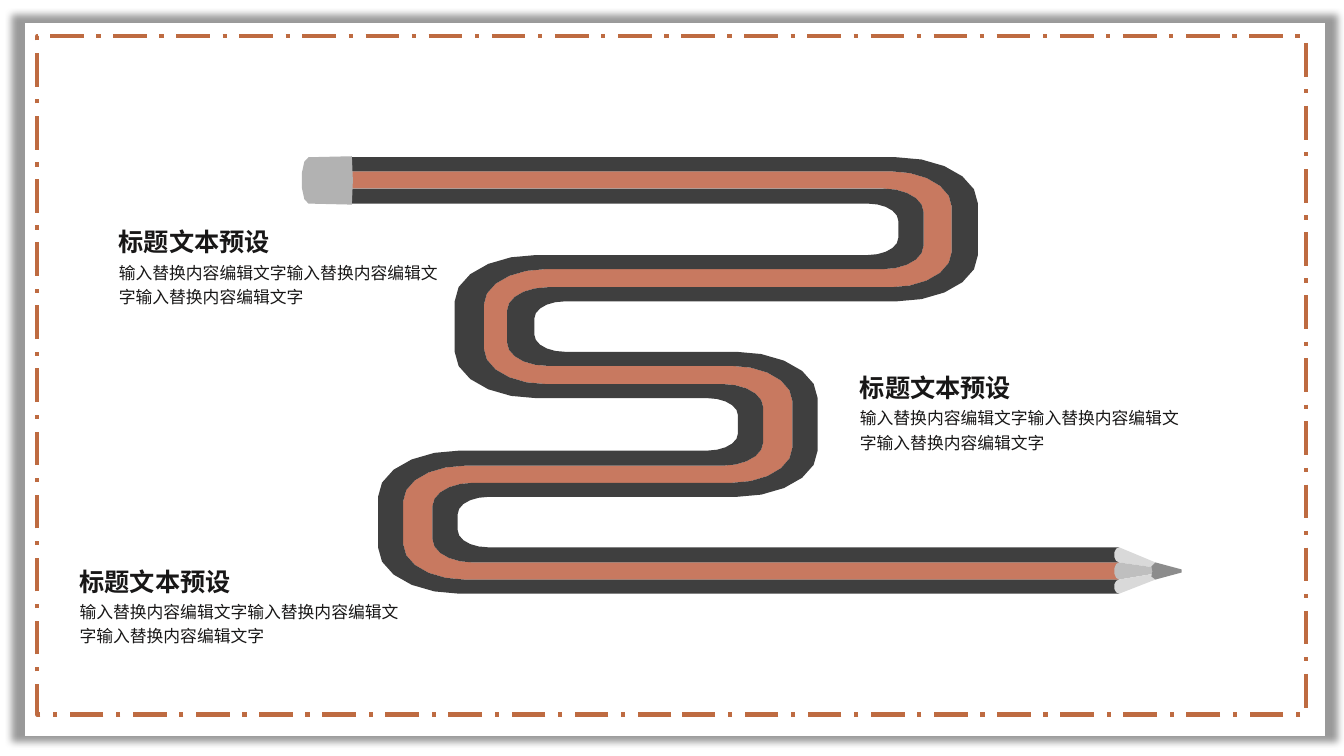
"""Build a slide with a winding pencil and three captions inside a dashed frame."""
from math import cos, pi, sin

from lxml import etree
from pptx import Presentation
from pptx.dml.color import RGBColor
from pptx.enum.dml import MSO_LINE
from pptx.enum.shapes import MSO_SHAPE
from pptx.oxml.ns import qn
from pptx.util import Inches, Pt

RECTANGLE = MSO_SHAPE.RECTANGLE
DASH_DOT = MSO_LINE.LONG_DASH_DOT
WHITE = RGBColor(0xFF, 0xFF, 0xFF)
FRAME = RGBColor(0xBE, 0x6B, 0x41)
ORANGE = RGBColor(0xC8, 0x79, 0x60)
DARK = RGBColor(0x3F, 0x3F, 0x3F)
ERASER = RGBColor(0xB2, 0xB2, 0xB2)
WOOD_LIGHT = RGBColor(0xD9, 0xD9, 0xD9)
WOOD_MIDDLE = RGBColor(0xBF, 0xBF, 0xBF)
LEAD = RGBColor(0x8C, 0x8C, 0x8C)
INK = RGBColor(0x18, 0x17, 0x17)
FONT = "Noto Sans CJK SC"
HEADING = "标题文本预设"
BODY = "输入替换内容编辑文字输入替换内容编辑文字输入替换内容编辑文字"
PENCIL_LEFT, PENCIL_RIGHT = 3.13, 11.1


def arc(center_x, center_y, radius_x, radius_y, start, end, steps=5):
    """Return points along an elliptical arc between two angles."""
    angles = [start + (end - start) * step / steps for step in range(steps + 1)]
    return [(center_x + radius_x * cos(a), center_y + radius_y * sin(a)) for a in angles]


def add_text(left, top, width, height, text, size, bold, wrap, spacing):
    """Add a one-paragraph text box."""
    box = slide.shapes.add_textbox(Inches(left), Inches(top), Inches(width), Inches(height))
    box.text_frame.word_wrap = wrap
    paragraph = box.text_frame.paragraphs[0]
    paragraph.line_spacing = spacing
    run = paragraph.add_run()
    run.text = text
    run.font.size = Pt(size)
    run.font.bold = bold
    run.font.color.rgb = INK
    run.font.name = FONT
    etree.SubElement(run.font._element, qn("a:ea"), typeface=FONT)


presentation = Presentation()
presentation.slide_width = Inches(13.33)
presentation.slide_height = Inches(7.5)
slide = presentation.slides.add_slide(presentation.slide_layouts[6])

card = slide.shapes.add_shape(RECTANGLE, Inches(0.25), Inches(0.23), Inches(12.89), Inches(7.07))
card.fill.solid()
card.fill.fore_color.rgb = WHITE
card.line.fill.background()
card.shadow.inherit = False
effects = card._element.spPr.find(qn("a:effectLst"))
shadow = etree.SubElement(effects, qn("a:outerShdw"), blurRad=str(Pt(5)), sx="102000",
                          sy="102000", algn="ctr", rotWithShape="0")
shadow_color = etree.SubElement(shadow, qn("a:srgbClr"), val="000000")
etree.SubElement(shadow_color, qn("a:alpha"), val="40000")

frame = slide.shapes.add_shape(RECTANGLE, Inches(0.37), Inches(0.36), Inches(12.58), Inches(6.73))
frame.fill.background()
frame.line.color.rgb = FRAME
frame.line.width = Pt(3)
frame.line.dash_style = DASH_DOT
frame.shadow.inherit = False

edge_rules = [
    ((1.56, 2.99, 3.49, 4.93, 5.43), (9.7, 5.3, 8.11, 4.54), (0.81, 0.46), (0.3, 0.17)),
    ((1.7, 2.85, 3.63, 4.79, 5.58), (9.44, 5.03, 7.86, 4.29), (0.6, 0.35), (0.4, 0.23)),
    ((1.87, 2.67, 3.81, 4.62, 5.75), (9.16, 4.8, 7.57, 4), (0.4, 0.23), (0.61, 0.35)),
    ((2.02, 2.53, 3.95, 4.47, 5.89), (8.91, 4.51, 7.32, 3.75), (0.3, 0.17), (0.81, 0.46)),
]
edges = []
for levels, turns, right_radii, left_radii in edge_rules:
    edge = [(PENCIL_LEFT, levels[0])]
    for index, turn_x in enumerate(turns):
        side = 1 if index % 2 == 0 else -1
        radius_x, radius_y = right_radii if side == 1 else left_radii
        center_x = turn_x - side * radius_x
        edge += arc(center_x, levels[index] + radius_y, side * radius_x, radius_y, -pi / 2, 0)
        edge += arc(center_x, levels[index + 1] - radius_y, side * radius_x, radius_y, 0, pi / 2)
    edge.append((PENCIL_RIGHT, levels[-1]))
    edges.append(edge)

pencil_parts = [
    (edges[upper] + edges[upper + 1][::-1], color)
    for upper, color in ((1, ORANGE), (0, DARK), (2, DARK))
]
pencil_parts.append((arc(3.06, 1.79, 0.07, 0.23, -pi / 2, -3 * pi / 2)
                     + [(3.49, 2.03), (3.5, 1.79), (3.49, 1.55)], ERASER))
wood_parts = [
    (5.43, 5.58, [(11.45, 5.63), (11.46, 5.58)], WOOD_LIGHT),
    (5.58, 5.75, [(11.46, 5.69), (11.45, 5.63)], WOOD_MIDDLE),
    (5.75, 5.89, [(11.46, 5.75), (11.46, 5.69)], WOOD_LIGHT),
]
for top, bottom, end_points, color in wood_parts:
    rounded_end = arc(PENCIL_RIGHT, (top + bottom) / 2, 0.05, (bottom - top) / 2,
                      -pi / 2, -3 * pi / 2)
    pencil_parts.append((rounded_end + end_points, color))
pencil_parts.append(([(11.46, 5.58), (11.72, 5.65), (11.72, 5.68), (11.46, 5.75), (11.42, 5.72),
                      (11.43, 5.67), (11.42, 5.62)], LEAD))

pencil = slide.shapes.add_group_shape()
for points, color in pencil_parts:
    corners = [(Inches(x), Inches(y)) for x, y in points]
    builder = pencil.shapes.build_freeform(*corners[0])
    builder.add_line_segments(corners[1:], close=True)
    shape = builder.convert_to_shape()
    shape.fill.solid()
    shape.fill.fore_color.rgb = color
    shape.line.fill.background()
    shape.shadow.inherit = False

for left, heading_top, body_top in ((1.08, 2.2, 2.52), (8.43, 3.64, 3.96), (0.69, 5.57, 5.88)):
    add_text(left, body_top, 3.52, 0.61, BODY, 12, False, True, 1.2)
    add_text(left, heading_top, 2.4, 0.38, HEADING, 18, True, False, 1)

presentation.save("out.pptx")
